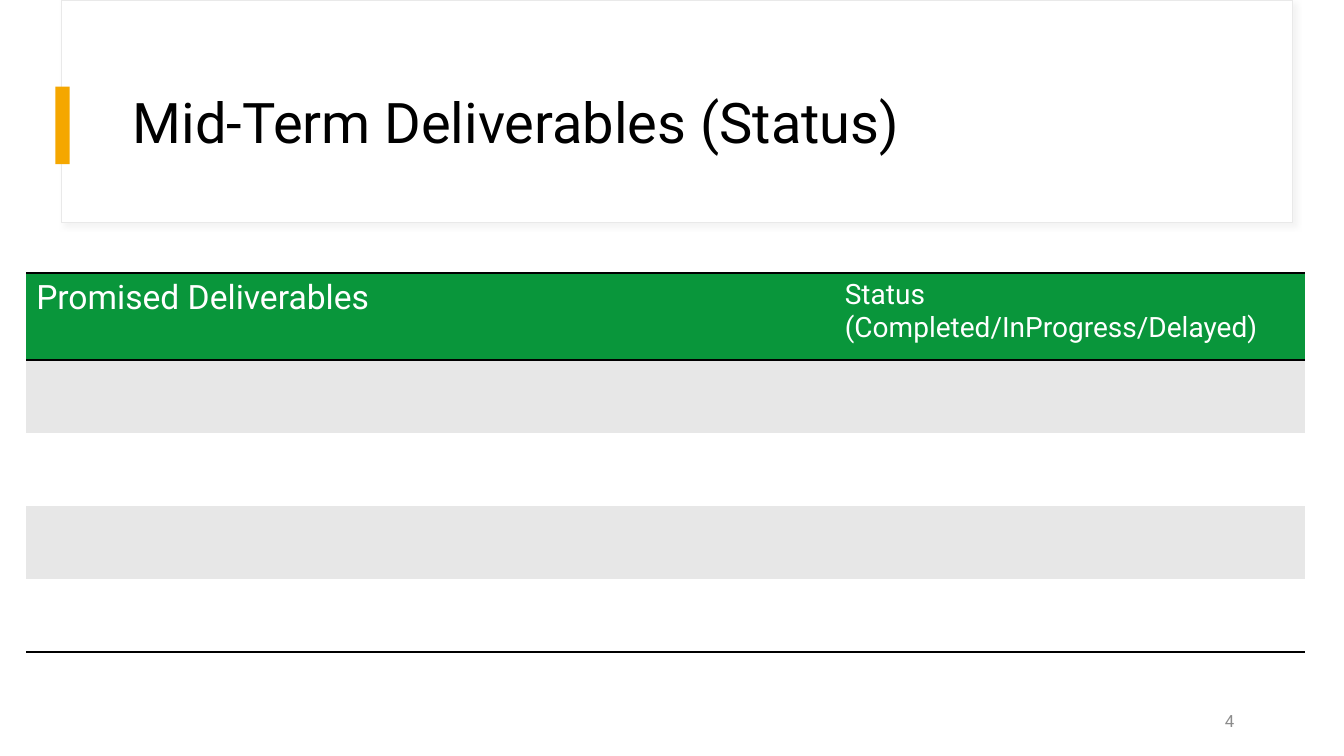
from dataclasses import dataclass

import pptx
import pptx.dml.color
import pptx.enum.shapes
import pptx.enum.text
import pptx.oxml
import pptx.oxml.ns
import pptx.util
from pptx.util import Inches


@dataclass(frozen=True)
class Theme:
    font: str = "Roboto"
    white: str = "FFFFFF"
    black: str = "000000"
    green: str = "09963B"
    amber: str = "F5A700"
    band: str = "E7E7E7"
    outline: str = "E9E9E9"
    shadow: str = "D9D9D9"
    muted: str = "8C8C8C"
    title_size: int = 40
    number_size: int = 12
    rule_width: float = 2
    outline_width: float = 0.75


@dataclass(frozen=True)
class Area:
    left: float
    top: float
    width: float
    height: float

    def lengths(self) -> tuple:
        return tuple(Inches(v) for v in (self.left, self.top, self.width, self.height))


@dataclass(frozen=True)
class Panel:
    area: Area
    fill: str
    outline: str | None = None


@dataclass(frozen=True)
class Label:
    text: str
    area: Area
    size: int
    color: str
    align: pptx.enum.text.PP_ALIGN
    spacing: float = 1.0


@dataclass(frozen=True)
class Column:
    heading: str
    size: int
    width: float


THEME = Theme()
ALIGN = pptx.enum.text.PP_ALIGN
TITLE_CARD = Panel(Area(0.61, 0, 12.21, 2.21), THEME.white, THEME.outline)
TITLE_ACCENT = Panel(Area(0.55, 0.86, 0.14, 0.77), THEME.amber)
LABELS = [
    Label("Mid-Term Deliverables (Status)", Area(1.22, 0.6, 11.12, 1.29),
          THEME.title_size, THEME.black, ALIGN.LEFT, 0.9),
    Label("4", Area(9.34, 6.95, 3, 0.4), THEME.number_size, THEME.muted, ALIGN.RIGHT),
]
COLUMNS = [
    Column("Promised Deliverables", 24, 8.02),
    Column("Status (Completed/InProgress/Delayed)", 20, 4.66),
]
TABLE_AREA = Area(0.26, 2.71, 12.68, 3.76)
HEADER_HEIGHT = 0.86
BODY_ROWS = 4
PLAIN_TABLE_STYLE = "{2D5ABB26-0587-4C30-8999-92F81FD0307C}"


def rgb(color: str) -> pptx.dml.color.RGBColor:
    return pptx.dml.color.RGBColor.from_string(color)


def format_para(para, size: int, color: str) -> None:
    for span in para.runs:
        span.font.name = THEME.font
        span.font.size = pptx.util.Pt(size)
        span.font.color.rgb = rgb(color)


def add_panel(page, panel: Panel):
    box = page.shapes.add_shape(
        pptx.enum.shapes.MSO_SHAPE.RECTANGLE, *panel.area.lengths())
    box.shadow.inherit = False
    box.fill.solid()
    box.fill.fore_color.rgb = rgb(panel.fill)
    if panel.outline:
        box.line.color.rgb = rgb(panel.outline)
        box.line.width = pptx.util.Pt(THEME.outline_width)
    else:
        box.line.fill.background()
    return box


def add_soft_shadow(box) -> None:
    effects = box.element.spPr.find(pptx.oxml.ns.qn("a:effectLst"))
    blur, distance = pptx.util.Pt(4), pptx.util.Pt(3)
    effects.append(pptx.oxml.parse_xml(
        f'<a:outerShdw {pptx.oxml.ns.nsdecls("a")} blurRad="{blur}" dist="{distance}" '
        f'dir="2700000" algn="tl" rotWithShape="0"><a:srgbClr val="{THEME.shadow}">'
        f'<a:alpha val="30000"/></a:srgbClr></a:outerShdw>'))


def add_label(page, label: Label) -> None:
    box = page.shapes.add_textbox(*label.area.lengths())
    frame = box.text_frame
    frame.word_wrap = True
    frame.vertical_anchor = pptx.enum.text.MSO_ANCHOR.MIDDLE
    frame.text = label.text
    para = frame.paragraphs[0]
    para.alignment = label.align
    para.line_spacing = label.spacing
    format_para(para, label.size, label.color)


def add_rules(cell, edges: str) -> None:
    properties = cell._tc.get_or_add_tcPr()
    for position, edge in enumerate(edges):
        properties.insert(position, pptx.oxml.parse_xml(
            f'<a:ln{edge} {pptx.oxml.ns.nsdecls("a")} '
            f'w="{pptx.util.Pt(THEME.rule_width)}"><a:solidFill>'
            f'<a:srgbClr val="{THEME.black}"/></a:solidFill></a:ln{edge}>'))


def add_deliverables(page) -> None:
    holder = page.shapes.add_table(
        BODY_ROWS + 1, len(COLUMNS), *TABLE_AREA.lengths())
    for style in holder.element.iter(pptx.oxml.ns.qn("a:tableStyleId")):
        style.text = PLAIN_TABLE_STYLE
    table = holder.table
    table.horz_banding = False
    body_height = (TABLE_AREA.height - HEADER_HEIGHT) / BODY_ROWS
    for row_index, row in enumerate(table.rows):
        row.height = Inches(body_height if row_index else HEADER_HEIGHT)
        fill = THEME.band if row_index % 2 else THEME.white
        edges = {0: "TB", BODY_ROWS: "B"}.get(row_index, "")
        for cell in row.cells:
            cell.fill.solid()
            cell.fill.fore_color.rgb = rgb(fill if row_index else THEME.green)
            add_rules(cell, edges)
    for index, column in enumerate(COLUMNS):
        table.columns[index].width = Inches(column.width)
        heading = table.cell(0, index).text_frame
        heading.text = column.heading
        format_para(heading.paragraphs[0], column.size, THEME.white)


def main() -> None:
    deck = pptx.Presentation()
    deck.slide_width = Inches(13.33)
    deck.slide_height = Inches(7.5)
    page = deck.slides.add_slide(deck.slide_layouts[6])
    add_soft_shadow(add_panel(page, TITLE_CARD))
    add_panel(page, TITLE_ACCENT)
    add_deliverables(page)
    for label in LABELS:
        add_label(page, label)
    deck.save("out.pptx")


if __name__ == "__main__":
    main()
